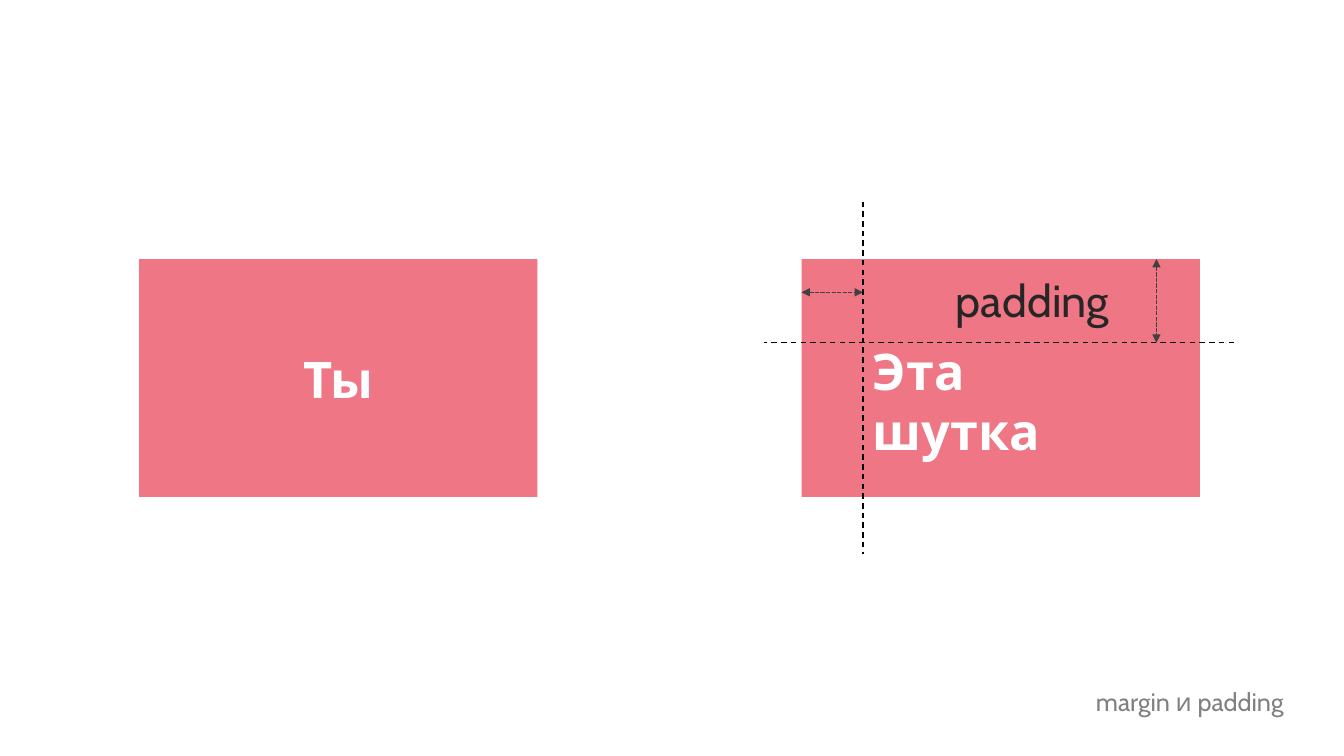
from pptx import Presentation, util as u
from pptx.dml.color import RGBColor
from pptx.enum import dml, shapes, text
from pptx.oxml.ns import qn
from lxml import etree

PX = u.Inches(1) // 100
COLORS = {"box": "EF7684", "white": "FFFFFF", "label": "262626",
          "arrow": "404040", "guide": "000000", "footer": "808080"}
BOX_TOP, BOX_WIDTH, BOX_HEIGHT = 257, 395, 236
YOU_LEFT, THING_LEFT = 138, 795
GUIDE_X, GUIDE_Y = 856, 340

deck = Presentation()
deck.slide_width, deck.slide_height = 1333 * PX, 750 * PX
slide = deck.slides.add_slide(deck.slide_layouts[6])


def add_label(words, left, top, width, height, size, color, align, bold=False):
    label = slide.shapes.add_textbox(left * PX, top * PX, width * PX, height * PX)
    label.text_frame.word_wrap = True
    label.text_frame.text = words
    paragraph = label.text_frame.paragraphs[0]
    paragraph.alignment = align
    font = paragraph.runs[0].font
    font.name, font.size, font.bold = "Cabin", u.Pt(size), bold
    font.color.rgb = RGBColor.from_string(COLORS[color])
    return paragraph


def add_dashed(x1, y1, x2, y2, color, dash, arrows=False):
    dashed = slide.shapes.add_connector(
        shapes.MSO_CONNECTOR.STRAIGHT, x1 * PX, y1 * PX, x2 * PX, y2 * PX)
    dashed.line.width = u.Pt(1)
    dashed.line.color.rgb = RGBColor.from_string(COLORS[color])
    dashed.line.dash_style = dash
    if arrows:
        for end in ("a:headEnd", "a:tailEnd"):
            etree.SubElement(dashed.line._get_or_add_ln(), qn(end), type="triangle")
    etree.SubElement(dashed._element.spPr, qn("a:effectLst"))


footer = add_label("margin и padding", 50, 679, 1233, 41, 18, "footer", text.PP_ALIGN.RIGHT)
footer.line_spacing = 0.9

for left in (YOU_LEFT, THING_LEFT):
    box = slide.shapes.add_shape(
        shapes.MSO_SHAPE.RECTANGLE, left * PX, BOX_TOP * PX, BOX_WIDTH * PX, BOX_HEIGHT * PX)
    box.shadow.inherit = False
    box.fill.solid()
    box.fill.fore_color.rgb = RGBColor.from_string(COLORS["box"])
    box.line.fill.background()

add_dashed(THING_LEFT, 290, GUIDE_X, 290, "arrow", dml.MSO_LINE.SQUARE_DOT, True)

add_label("padding", 910, 266, 228, 64, 32, "label", text.PP_ALIGN.CENTER)
add_label("Эта шутка", GUIDE_X, 332, 273, 71, 36, "white", text.PP_ALIGN.LEFT, True)
add_label("Ты", 199, 340, 273, 71, 36, "white", text.PP_ALIGN.CENTER, True)

add_dashed(GUIDE_X, 200, GUIDE_X, 550, "guide", dml.MSO_LINE.DASH)
add_dashed(1224, GUIDE_Y, 758, GUIDE_Y, "guide", dml.MSO_LINE.DASH)
add_dashed(1147, BOX_TOP, 1147, GUIDE_Y, "arrow", dml.MSO_LINE.SQUARE_DOT, True)

deck.save("out.pptx")
